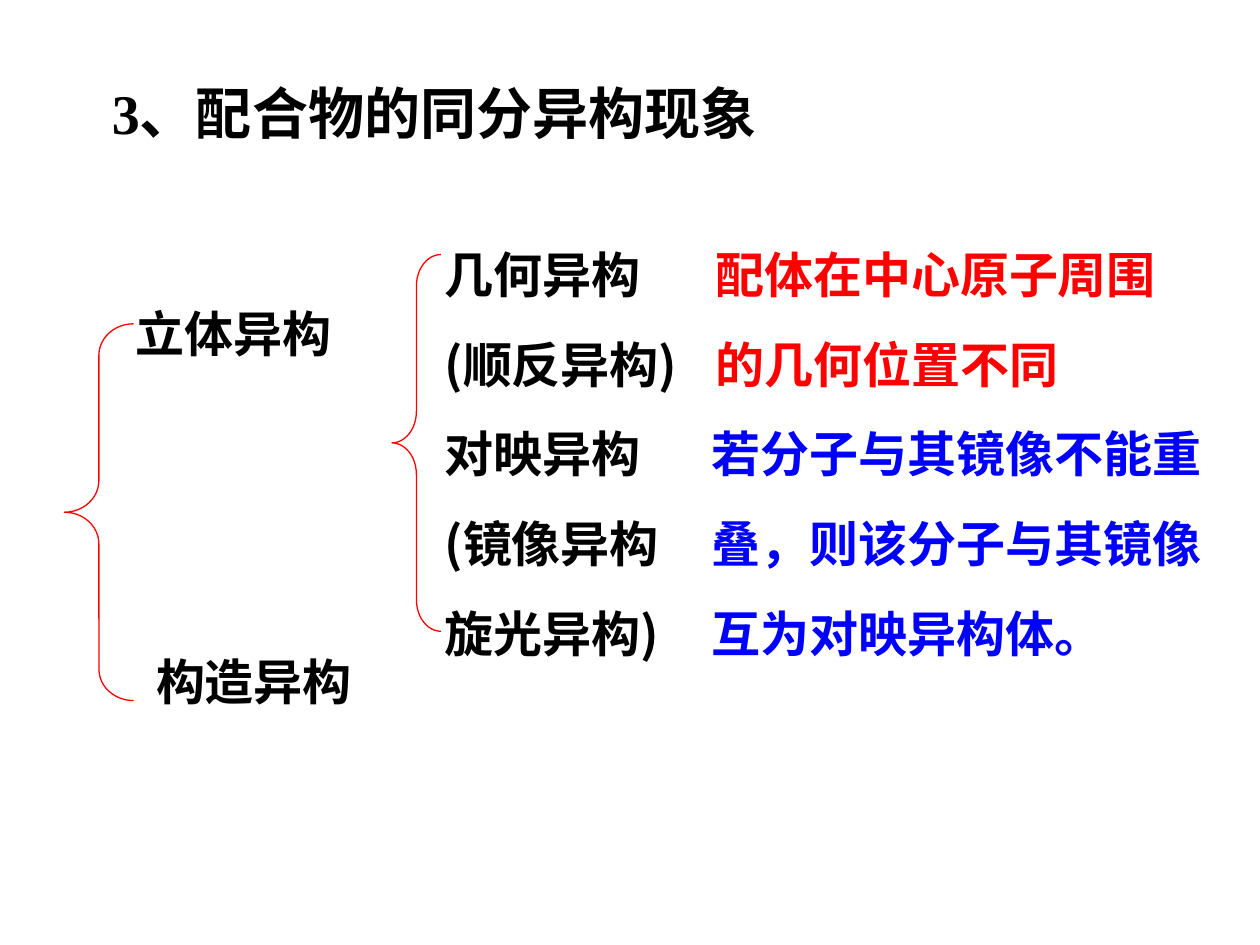
from dataclasses import dataclass

from lxml.etree import SubElement
from pptx import Presentation
from pptx.dml.color import RGBColor
from pptx.enum.shapes import MSO_SHAPE as Shape
from pptx.enum.text import MSO_ANCHOR as Anchor, PP_ALIGN as Align
from pptx.oxml.ns import qn
from pptx.slide import Slide
from pptx.util import Inches, Pt

COLUMN = ROW = Inches(0.1)
CJK_FONT = "Noto Sans CJK SC"
BLACK, RED, BLUE = "000000", "FF0000", "0000FF"
TYPES_COLUMN = 34.3
GEOMETRIC_ROW, MIRROR_ROW = 18.6, 32.8
BRACE_ROWS, CURVE_ROWS = 29.9, 2.5


@dataclass
class Label:
    lines: list[str]
    column: float
    row: float
    columns: float
    rows: float
    color: str = BLACK
    size: int = 28
    font: str = CJK_FONT
    align: Align = Align.JUSTIFY
    anchor: Anchor = Anchor.TOP
    top_inset: float = 0.08
    bottom_inset: float = 0.05
    line_height: float | None = 33.8


@dataclass
class Brace:
    column: float
    row: float
    columns: float


def rgb(color: str) -> RGBColor:
    return RGBColor.from_string(color)


def place(column: float, row: float, columns: float, rows: float) -> list[int]:
    return [int(column * COLUMN), int(row * ROW), int(columns * COLUMN), int(rows * ROW)]


def draw_label(page: Slide, label: Label) -> None:
    box = page.shapes.add_textbox(*place(label.column, label.row, label.columns, label.rows))
    frame = box.text_frame
    frame.text = "\n".join(label.lines)
    frame.word_wrap = True
    frame.vertical_anchor = label.anchor
    frame.margin_top = Inches(label.top_inset)
    frame.margin_bottom = Inches(label.bottom_inset)
    for index, para in enumerate(frame.paragraphs):
        para.alignment = label.align
        para.space_before = Pt(17.5 if index else 0)
        if label.line_height:
            para.line_spacing = Pt(label.line_height)
        for span in para.runs:
            span.font.size = Pt(label.size)
            span.font.bold = True
            span.font.color.rgb = rgb(label.color)
            span.font.name = label.font
            SubElement(span.font._element, qn("a:ea"), typeface=CJK_FONT)


def draw_brace(page: Slide, brace: Brace) -> None:
    shape = page.shapes.add_shape(
        Shape.LEFT_BRACE, *place(brace.column, brace.row, brace.columns, BRACE_ROWS)
    )
    shape.adjustments[0] = CURVE_ROWS / brace.columns
    shape.shadow.inherit = False
    shape.fill.background()
    shape.line.color.rgb = rgb(RED)
    shape.line.width = Pt(0.75)


TITLE = Label(
    ["3、配合物的同分异构现象"], 7.9, -1.7, 87.5, 13.3,
    size=32, font="Times New Roman", align=Align.LEFT,
    anchor=Anchor.BOTTOM, bottom_inset=0, line_height=None,
)
LABELS = [
    TITLE,
    Label(["立体异构"], 9.8, 23.3, 33.1, 5.7),
    Label(["几何异构", "(顺反异构)"], TYPES_COLUMN, GEOMETRIC_ROW, 24.4, 12.8),
    Label(["配体在中心原子周围", "的几何位置不同"], 55.8, GEOMETRIC_ROW, 47.2, 12.8, RED),
    Label(["对映异构", "(镜像异构", "旋光异构)"], TYPES_COLUMN, MIRROR_ROW, 22.8, 19.9),
    Label(
        ["若分子与其镜像不能重", "叠，则该分子与其镜像", "互为对映异构体。"],
        55.5, MIRROR_ROW, 47.2, 19.9, BLUE,
    ),
    Label(["构造异构"], 11.4, 50.9, 28.4, 5.7),
]
BRACES = [Brace(5.1, 25.7, 5.5), Brace(31.1, 20.2, 3.9)]


def main() -> None:
    deck = Presentation()
    deck.slide_width, deck.slide_height = 100 * COLUMN, 75 * ROW
    page = deck.slides.add_slide(deck.slide_layouts[6])
    for brace in BRACES:
        draw_brace(page, brace)
    for label in LABELS:
        draw_label(page, label)
    deck.save("out.pptx")


if __name__ == "__main__":
    main()
